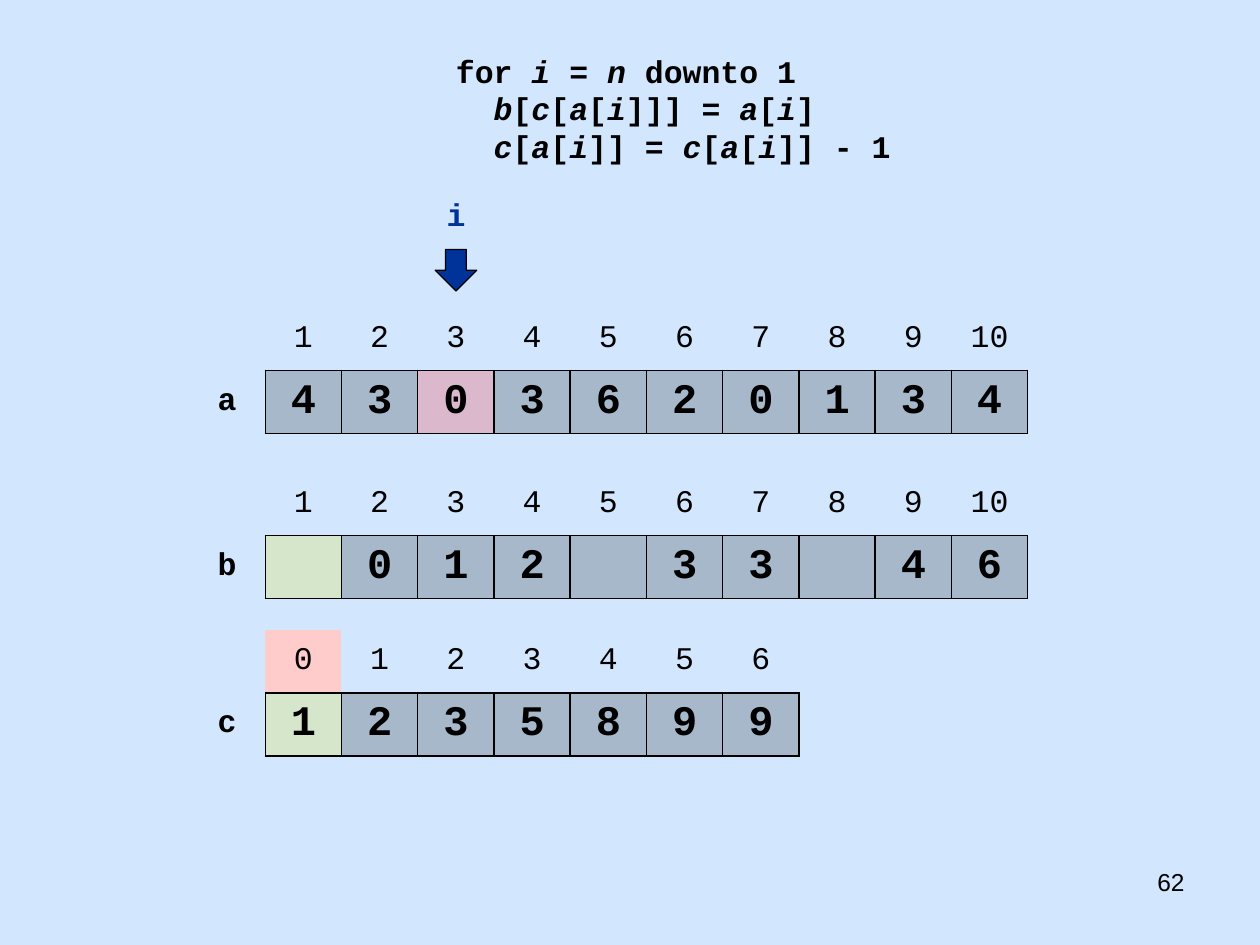
from lxml.etree import SubElement
from pptx import Presentation
from pptx.dml.color import RGBColor
from pptx.enum.shapes import MSO_SHAPE as Shape
from pptx.enum.text import MSO_ANCHOR as Anchor, PP_ALIGN as Align
from pptx.oxml.ns import qn
from pptx.util import Inches, Pt

# Content: "*" switches italics on and off in the code lines
CODE = [
    " for *i* = *n* downto 1",
    "   *b*[*c*[*a*[*i*]]] = *a*[*i*]",
    "   *c*[*a*[*i*]] = *c*[*a*[*i*]] - 1",
]
PAGE_NUMBER = "62"
CURSOR = "i"
CURSOR_INDEX = 3

BLACK, NAVY, RED, YELLOW, PINK = "000000", "003399", "FF0000", "E5E500", "FFCCCC"
# marked: value position -> tint; marked_index: index position -> solid fill
ARRAYS = [
    dict(name="a", top=2.44, first=1, marked={2: RED}, marked_index={},
         values=["4", "3", "0", "3", "6", "2", "0", "1", "3", "4"]),
    dict(name="b", top=3.75, first=1, marked={0: YELLOW}, marked_index={},
         values=["", "0", "1", "2", "", "3", "3", "", "4", "6"]),
    dict(name="c", top=5, first=0, marked={0: YELLOW}, marked_index={0: PINK},
         values=["1", "2", "3", "5", "8", "9", "9"]),
]

# Grid: one label column and ten value columns
GRID_LEFT = 1.5
COLUMN = 6.66 / 11
ROW = 0.5
TINT_PERCENT = 20
MONO = "Courier New"
NO_STYLE = "{2D5ABB26-0587-4C30-8999-92F81FD0307C}"

prs = Presentation()
prs.slide_width, prs.slide_height = Inches(10), Inches(7.5)
slide = prs.slides.add_slide(prs.slide_layouts[6])


def paint(fill, color, percent=100):
    fill.solid()
    fill.fore_color.rgb = RGBColor.from_string(color)
    return percent


def add_run(paragraph, text, size=18, font=MONO, color=BLACK, bold=False, italic=False):
    run = paragraph.add_run()
    run.text = text
    run.font.name, run.font.size = font, Pt(size)
    run.font.bold, run.font.italic = bold, italic
    run.font.color.rgb = RGBColor.from_string(color)


def add_box(left, top, width, height, align=Align.LEFT):
    frame = slide.shapes.add_textbox(*map(Inches, (left, top, width, height))).text_frame
    frame.word_wrap = True
    frame.paragraphs[0].alignment = align
    return frame


def set_borders(cell, sides):
    props = cell._tc.get_or_add_tcPr()
    for side in "LRTB":
        line = SubElement(props, qn("a:ln" + side), w=str(Pt(1)))
        if side in sides:
            color = SubElement(SubElement(line, qn("a:solidFill")), qn("a:srgbClr"))
            color.set("val", BLACK)
        else:
            SubElement(line, qn("a:noFill"))


def set_cell(cell, text, sides, size=18, bold=False, color=None, percent=100):
    cell.vertical_anchor = Anchor.MIDDLE
    paragraph = cell.text_frame.paragraphs[0]
    paragraph.alignment = Align.CENTER
    if text:
        add_run(paragraph, text, size, bold=bold)
    set_borders(cell, sides)
    if color is None:
        cell.fill.background()
        return
    paint(cell.fill, color)
    if percent < 100:
        tint = cell._tc.tcPr.find(qn("a:solidFill")).find(qn("a:srgbClr"))
        SubElement(tint, qn("a:alpha"), val=str(percent * 1000))


def add_array(name, top, first, values, marked, marked_index):
    columns = len(values) + 1
    table = slide.shapes.add_table(
        2, columns, Inches(GRID_LEFT), Inches(top),
        Inches(COLUMN * columns), Inches(2 * ROW)).table
    table.first_row = table.horz_banding = False
    table._tbl.tblPr.find(qn("a:tableStyleId")).text = NO_STYLE
    for column in table.columns:
        column.width = Inches(COLUMN)
    set_cell(table.cell(0, 0), "", "")
    set_cell(table.cell(1, 0), name, "R", bold=True)
    for i, value in enumerate(values):
        set_cell(table.cell(0, i + 1), str(first + i), "B", color=marked_index.get(i))
        set_cell(table.cell(1, i + 1), value, "LRTB", 24, True,
                 marked.get(i, BLACK), TINT_PERCENT)


# Background and page number
paint(slide.background.fill, "D2E7FE")
page = add_box(7.17, 6.83, 2.33, 0.52, Align.RIGHT)
add_run(page.paragraphs[0], PAGE_NUMBER, 14, "Arial")

# Code
code = add_box(3.37, 0.36, 4, 1.01)
for number, line in enumerate(CODE):
    paragraph = code.add_paragraph() if number else code.paragraphs[0]
    for part, text in enumerate(line.split("*")):
        if text:
            add_run(paragraph, text, bold=True, italic=part % 2 == 1)

# Arrays
for array in ARRAYS:
    add_array(**array)

# Cursor label and arrow, centred over the current column
center = GRID_LEFT + (CURSOR_INDEX + 0.5) * COLUMN
label_width, arrow_size = 2.08, 0.33
label = add_box(center - label_width / 2, 1.5, label_width, 0.4, Align.CENTER)
add_run(label.paragraphs[0], CURSOR, color=NAVY, bold=True)
arrow = slide.shapes.add_shape(
    Shape.DOWN_ARROW, Inches(center - arrow_size / 2), Inches(1.98),
    Inches(arrow_size), Inches(arrow_size))
arrow.shadow.inherit = False
paint(arrow.fill, NAVY)
paint(arrow.line.fill, "010000")
arrow.line.width = Pt(0.75)

prs.save("out.pptx")
